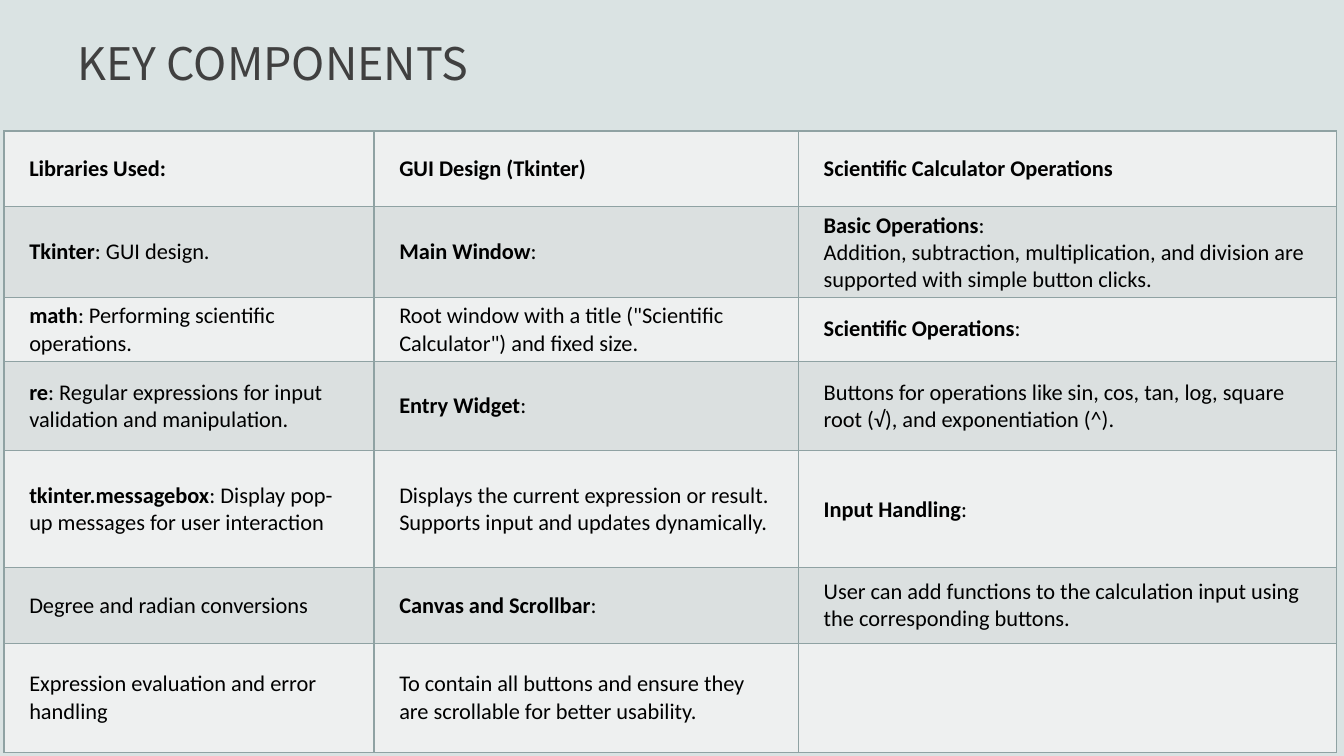
"""Build the key components slide of a scientific calculator deck."""
from lxml import etree
from pptx import Presentation
from pptx.dml.color import RGBColor
from pptx.enum.text import MSO_ANCHOR
from pptx.oxml.ns import qn
from pptx.util import Inches, Pt

TOP, MIDDLE = MSO_ANCHOR.TOP, MSO_ANCHOR.MIDDLE
WIDTHS = [3.67, 4.21, 5.34]
HEIGHTS = [0.75, 0.89, 0.63, 0.89, 1.16, 0.75, 1.08]
SHADES = ["EEF0F0", "DBE0E0"]
EDGE = "8FA2A3"
ROWS = [
    ["**Libraries Used:**", "**GUI Design (Tkinter)**", "**Scientific Calculator Operations**"],
    ["**Tkinter**: GUI design.", "**Main Window**:",
     "**Basic Operations**:\nAddition, subtraction, multiplication, and division are "
     "supported with simple button clicks."],
    ["**math**: Performing scientific operations.",
     'Root window with a title ("Scientific Calculator") and fixed size.',
     "**Scientific Operations**:"],
    ["**re**: Regular expressions for input validation and manipulation.", "**Entry Widget**:",
     "Buttons for operations like sin, cos, tan, log, square root (√), and exponentiation (^)."],
    ["**tkinter.messagebox**: Display pop-up messages for user interaction",
     "Displays the current expression or result.\nSupports input and updates dynamically.",
     "**Input Handling**:"],
    ["Degree and radian conversions", "**Canvas and Scrollbar**:",
     "User can add functions to the calculation input using the corresponding buttons."],
    ["Expression evaluation and error handling",
     "To contain all buttons and ensure they are scrollable for better usability.", ""],
]


def color(code):
    return RGBColor.from_string(code)


def write(para, text, face, size, ink):
    for i, part in enumerate(text.split("**")):
        if part:
            run = para.add_run()
            run.text = part
            run.font.name = face
            run.font.size = Pt(size)
            run.font.bold = i % 2 == 1
            run.font.color.rgb = color(ink)


deck = Presentation()
deck.slide_width = Inches(13.33)
deck.slide_height = Inches(7.5)
slide = deck.slides.add_slide(deck.slide_layouts[6])
slide.background.fill.solid()
slide.background.fill.fore_color.rgb = color("DAE3E3")

title = slide.shapes.add_textbox(Inches(0.67), Inches(0.37), Inches(12.1), Inches(1)).text_frame
title.word_wrap = True
title.vertical_anchor = TOP
title.paragraphs[0].line_spacing = 0.9
write(title.paragraphs[0], "KEY COMPONENTS", "Noto Sans CJK KR", 32, "404040")

table = slide.shapes.add_table(
    len(ROWS), len(WIDTHS), Inches(0.04), Inches(1.3),
    Inches(sum(WIDTHS)), Inches(sum(HEIGHTS))).table
for col, width in zip(table.columns, WIDTHS):
    col.width = Inches(width)

for r, (texts, height) in enumerate(zip(ROWS, HEIGHTS)):
    table.rows[r].height = Inches(height)
    for c, text in enumerate(texts):
        cell = table.cell(r, c)
        cell.vertical_anchor = MIDDLE
        cell.margin_left, cell.margin_right = Inches(0.25), Inches(0.2)
        cell.margin_top = cell.margin_bottom = Inches(0.05)
        props = cell._tc.get_or_add_tcPr()
        for side in ("a:lnL", "a:lnR", "a:lnT", "a:lnB"):
            line = etree.SubElement(props, qn(side), w=str(Pt(1)))
            fill = etree.SubElement(line, qn("a:solidFill"))
            etree.SubElement(fill, qn("a:srgbClr"), val=EDGE)
        cell.fill.solid()
        cell.fill.fore_color.rgb = color(SHADES[r % 2])
        frame = cell.text_frame
        for i, words in enumerate(text.split("\n")):
            para = frame.add_paragraph() if i else frame.paragraphs[0]
            write(para, words, "Calibri", 16, "000000")

deck.save("out.pptx")
